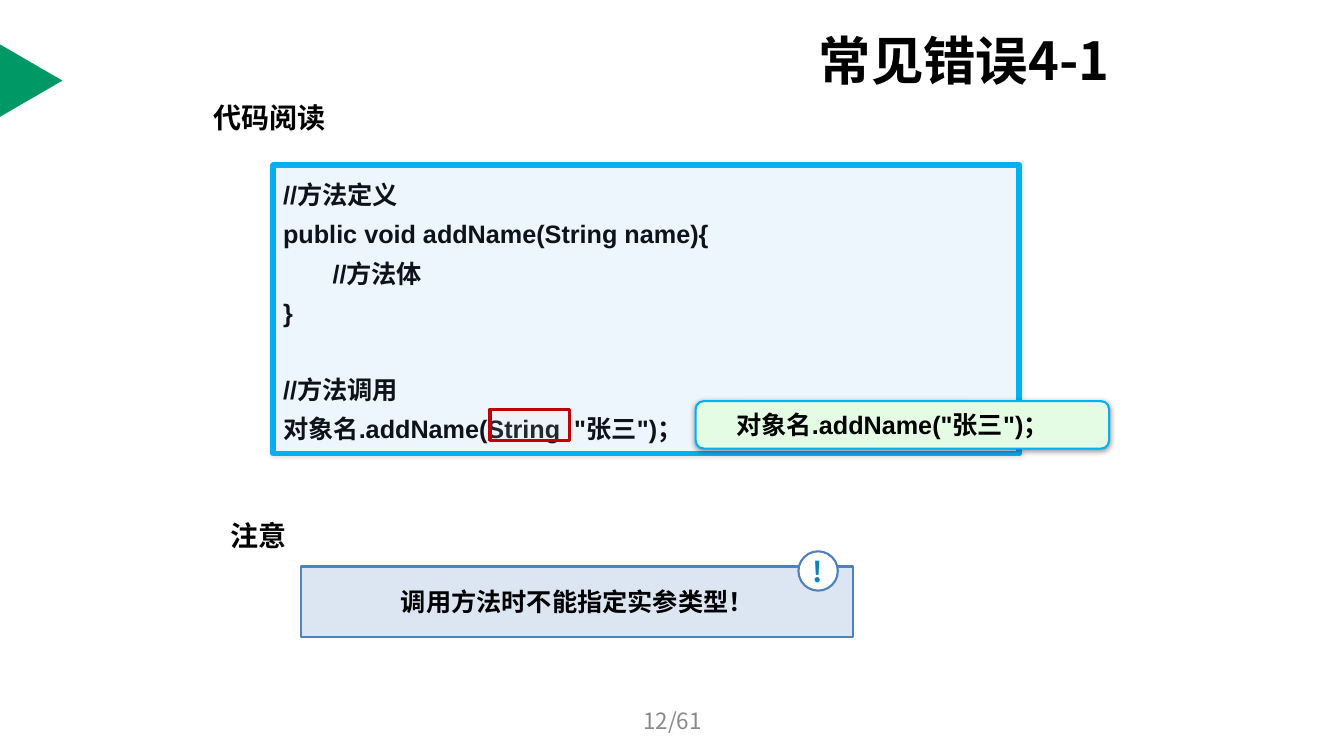
"""Build the slide on a common method-call mistake."""
from lxml.etree import SubElement
from pptx import Presentation
from pptx.dml.color import RGBColor
from pptx.enum.shapes import MSO_SHAPE
from pptx.enum.text import MSO_ANCHOR, PP_ALIGN
from pptx.oxml.ns import qn
from pptx.util import Inches, Pt

WIDE, HIGH = Inches(13.33), Inches(7.5)
BLACK = RGBColor(0, 0, 0)
WHITE = RGBColor(0xFF, 0xFF, 0xFF)
GREEN = RGBColor(0x00, 0x99, 0x66)
MINT = RGBColor(0xE4, 0xFC, 0xE4)
PALE = RGBColor(0xED, 0xF5, 0xFD)
SKY = RGBColor(0x00, 0xB0, 0xF0)
INK = RGBColor(0x0D, 0x12, 0x1B)
ROSE = RGBColor(0xFF, 0xDD, 0xDD)
RED = RGBColor(0xC0, 0x00, 0x00)
MIST = RGBColor(0xDC, 0xE6, 0xF2)
STEEL = RGBColor(0x4F, 0x81, 0xBD)
TEAL = RGBColor(0x0C, 0x83, 0xB8)
GREY = RGBColor(0x89, 0x89, 0x89)
HAN = "Noto Sans CJK SC"
CODE = ["//方法定义", "public void addName(String name){", "\t//方法体", "}",
        "//方法调用", "对象名.addName(String  \"张三\")；"]
MID = {"vertical_anchor": MSO_ANCHOR.MIDDLE}
TIGHT = dict.fromkeys(
    ("margin_left", "margin_right", "margin_top", "margin_bottom"), 0)


def put(item, form):
    """Set each format value on the item."""
    for key, value in form.items():
        setattr(item, key, value)


def area(x, y, w, h):
    """Turn percent shares of the slide into lengths."""
    return (int(WIDE * x / 100), int(HIGH * y / 100),
            int(WIDE * w / 100), int(HIGH * h / 100))


def shade(node, alpha, blur, dist=0, angle=0):
    """Add an outer black shadow to an effect list."""
    glow = SubElement(node, qn("a:outerShdw"), blurRad=str(Pt(blur)),
                      dist=str(Pt(dist)), dir=str(angle * 60000),
                      algn="ctr", rotWithShape="0")
    tint = SubElement(glow, qn("a:srgbClr"), val=str(BLACK))
    SubElement(tint, qn("a:alpha"), val=str(alpha * 1000))


def write(para, text, size, color=BLACK, bold=True, face=HAN, glow=False):
    """Add one formatted run to a paragraph."""
    run = para.add_run()
    run.text = text
    run.font.color.rgb = color
    put(run.font, {"size": Pt(size), "bold": bold, "name": face})
    props = run.font._element
    east = SubElement(props, qn("a:ea"), typeface=HAN)
    props.find(qn("a:latin")).addnext(east)
    if glow:
        node = SubElement(props, qn("a:effectLst"))
        props.find(qn("a:solidFill")).addnext(node)
        shade(node, 45, 3, 2, 45)


def draw(slide, kind, box, fill, line=None, width=1.5, round=None, glow=None):
    """Draw a filled shape with an optional outline and shadow."""
    shape = slide.shapes.add_shape(kind, *area(*box))
    shape.shadow.inherit = False
    shape.fill.solid()
    shape.fill.fore_color.rgb = fill
    if line is None:
        shape.line.fill.background()
    else:
        shape.line.color.rgb = line
        shape.line.width = Pt(width)
    if round is not None:
        shape.adjustments[0] = round
    if glow:
        shade(shape._element.spPr.find(qn("a:effectLst")), *glow)
    return shape


def say(shape, text, size, align=PP_ALIGN.CENTER, frame=None, **look):
    """Put one line of text in the middle of a shape."""
    put(shape.text_frame, {"word_wrap": True, **MID, **(frame or {})})
    para = shape.text_frame.paragraphs[0]
    para.alignment = align
    write(para, text, size, **look)


def label(slide, box, text, size, **look):
    """Add a text box with one line."""
    say(slide.shapes.add_textbox(*area(*box)), text, size, **look)


def listing(shape):
    """Write the code lines into the panel."""
    put(shape.text_frame, {"word_wrap": True, "vertical_anchor": MSO_ANCHOR.TOP})
    for row, text in enumerate(CODE):
        frame = shape.text_frame
        para = frame.add_paragraph() if row else frame.paragraphs[0]
        tabs = SubElement(para._p.get_or_add_pPr(), qn("a:tabLst"))
        SubElement(tabs, qn("a:tab"), pos=str(Inches(0.49)), algn="l")
        put(para, {"alignment": PP_ALIGN.LEFT, "line_spacing": 1.3})
        if text == "//方法调用":
            para.space_before = Pt(27)
        write(para, text, 18, INK, face="Arial")


def main():
    """Build and save the slide."""
    deck = Presentation()
    put(deck, {"slide_width": WIDE, "slide_height": HIGH})
    slide = deck.slides.add_slide(deck.slide_layouts[5])
    left = PP_ALIGN.LEFT
    panel = MSO_SHAPE.ROUNDED_RECTANGLE

    arrow = draw(slide, MSO_SHAPE.ISOSCELES_TRIANGLE,
                 (-0.38, 6.53, 5.4, 8.27), GREEN)
    arrow.rotation = 90
    title = slide.shapes.title
    put(title, dict(zip(("left", "top", "width", "height"),
                        area(60.17, 4.13, 25.88, 7.6))))
    say(title, "常见错误4-1", 37.4, left)

    listing(draw(slide, panel, (20.33, 21.87, 55.51, 38.13), PALE, SKY, 4,
                 0, (10, 3)))
    mark = draw(slide, MSO_SHAPE.RECTANGLE, (36.46, 54.13, 5.93, 4.13),
                ROSE, RED, 2.25)
    tint = mark._element.spPr.find(qn("a:solidFill"))[0]
    SubElement(tint, qn("a:alpha"), val="10000")
    fix = draw(slide, panel, (51.76, 53.07, 30.76, 6.27), MINT, SKY,
               round=0.17, glow=(40, 4, 1, 90))
    say(fix, "对象名.addName(\"张三\")；", 18, left,
        {"margin_left": Inches(0.38)}, face="Arial")

    for box, text in (((15.15, 12.53, 9.98, 5.87), "代码阅读"),
                      ((16.43, 67.87, 5.78, 5.87), "注意")):
        label(slide, box, text, 20, align=left, frame={"word_wrap": False},
              glow=True)
    note = draw(slide, panel, (22.43, 74.93, 41.04, 9.33), MIST, STEEL, round=0)
    say(note, "调用方法时不能指定实参类型！", 18)
    badge = draw(slide, MSO_SHAPE.OVAL, (59.41, 72.93, 2.93, 5.2), WHITE, STEEL)
    say(badge, "!", 20, frame=TIGHT, color=TEAL)
    label(slide, (34.21, 92.67, 31.66, 5.33), "12/61", 16, color=GREY,
          bold=False)
    deck.save("out.pptx")


if __name__ == "__main__":
    main()
